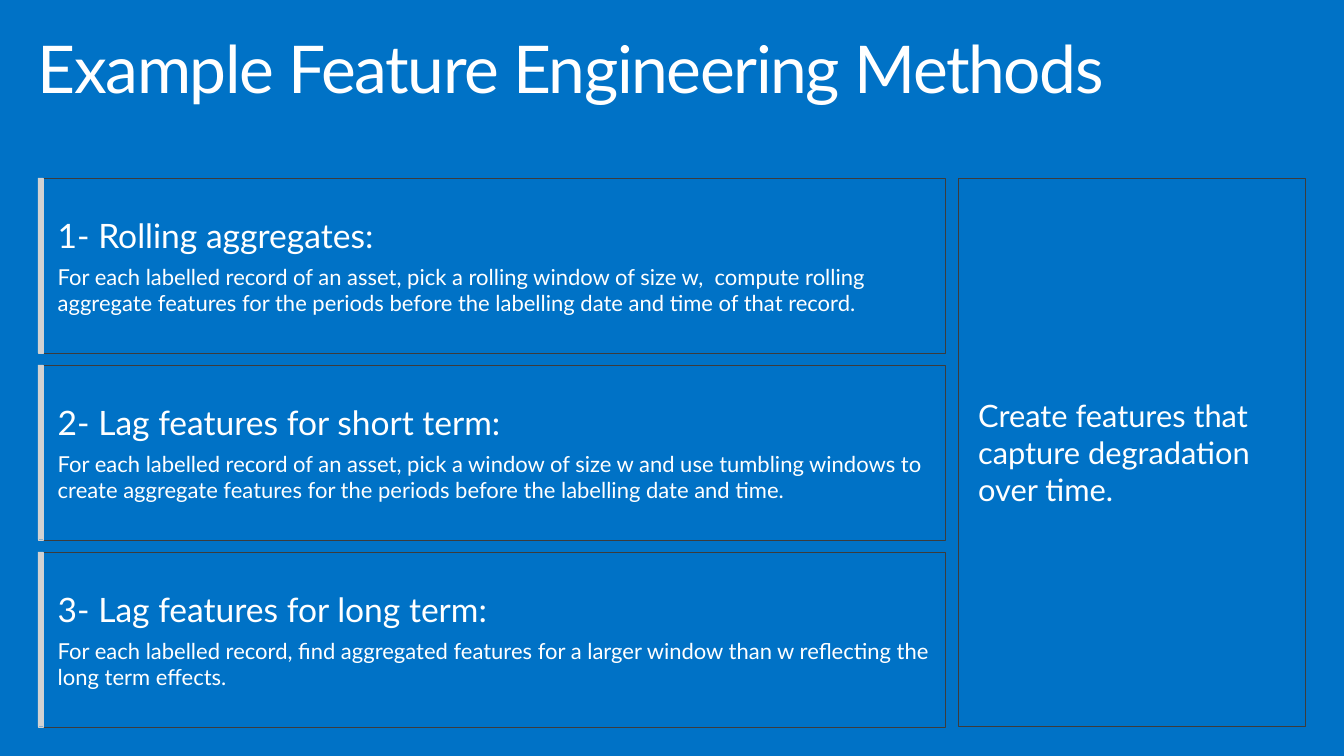
from pptx import Presentation
from pptx.dml.color import RGBColor
from pptx.enum.shapes import MSO_SHAPE
from pptx.enum.text import MSO_ANCHOR, PP_ALIGN
from pptx.util import Pt

RECT = MSO_SHAPE.RECTANGLE
MIDDLE, TOP = MSO_ANCHOR.MIDDLE, MSO_ANCHOR.TOP
LEFT = PP_ALIGN.LEFT
SCALE = 9525
FONT = "Lato"
BLUE, WHITE, DARK, GREY = "0072C6", "FFFFFF", "3C3C3C", "D2D2D2"

METHODS = [
    ("1- Rolling aggregates:",
     "For each labelled record of an asset, pick a rolling window of size w,  compute rolling "
     "aggregate features for the periods before the labelling date and time of that record."),
    ("2- Lag features for short term:",
     "For each labelled record of an asset, pick a window of size w and use tumbling windows to "
     "create aggregate features for the periods before the labelling date and time."),
    ("3- Lag features for long term:",
     "For each labelled record, find aggregated features for a larger window than w reflecting "
     "the long term effects."),
]


def px(*sizes):
    """Turn px lengths into EMU."""
    return [size * SCALE for size in sizes]


def color(code):
    """Turn a hex string into a colour."""
    return RGBColor.from_string(code)


def set_frame(frame, insets, anchor):
    """Set wrapping, insets and anchor of a text frame."""
    frame.word_wrap = True
    frame.vertical_anchor = anchor
    (frame.margin_left, frame.margin_top,
     frame.margin_right, frame.margin_bottom) = px(*insets)


def add_run(para, text, size):
    """Add one white run to a paragraph."""
    para.alignment = LEFT
    run = para.add_run()
    run.text = text
    run.font.size = Pt(size)
    run.font.name = FONT
    run.font.color.rgb = color(WHITE)
    return run


def add_rect(slide, box, line, fill=None):
    """Draw a thin-lined rectangle, filled or clear."""
    shape = slide.shapes.add_shape(RECT, *px(*box))
    shape.shadow.inherit = False
    if fill:
        shape.fill.solid()
        shape.fill.fore_color.rgb = color(fill)
    else:
        shape.fill.background()
    shape.line.color.rgb = color(line)
    shape.line.width = Pt(0.25)
    return shape


def add_title(slide, box, text):
    """Write the slide title."""
    frame = slide.shapes.add_textbox(*px(*box)).text_frame
    set_frame(frame, (15, 10, 15, 10), TOP)
    para = frame.paragraphs[0]
    para.line_spacing = 0.9
    run = add_run(para, text, 94.1)
    run.font._element.set("spc", "-200")


def add_panel(slide, box, parts):
    """Draw an outlined panel with one paragraph per text and size."""
    frame = add_rect(slide, box, DARK).text_frame
    set_frame(frame, (38, 5, 10, 5), MIDDLE)
    for index, (text, size) in enumerate(parts):
        para = frame.add_paragraph() if index else frame.paragraphs[0]
        para.space_before = Pt(12)
        add_run(para, text, size)


def add_methods(slide, box, gap):
    """Stack the method panels, each with a bar at its left edge."""
    left, top, width, height = box
    count = len(METHODS)
    tall = (height - gap * (count - 1)) // count
    for index, (head, body) in enumerate(METHODS):
        row = top + index * (tall + gap)
        add_panel(slide, (left, row, width, tall), [(head, 48), (body, 31.4)])
        add_rect(slide, (left, row, 10, tall), GREY, GREY)


def main():
    """Build and save the slide."""
    deck = Presentation()
    deck.slide_width, deck.slide_height = px(2560, 1440)
    slide = deck.slides.add_slide(deck.slide_layouts[6])
    back = slide.background.fill
    back.solid()
    back.fore_color.rgb = color(BLUE)
    add_title(slide, (57, 60, 2447, 189), "Example Feature Engineering Methods")
    add_methods(slide, (72, 339, 1729, 1045), 23)
    add_panel(slide, (1825, 339, 660, 1045),
              [("Create features that capture degradation over time.", 44)])
    deck.save("out.pptx")


if __name__ == "__main__":
    main()
